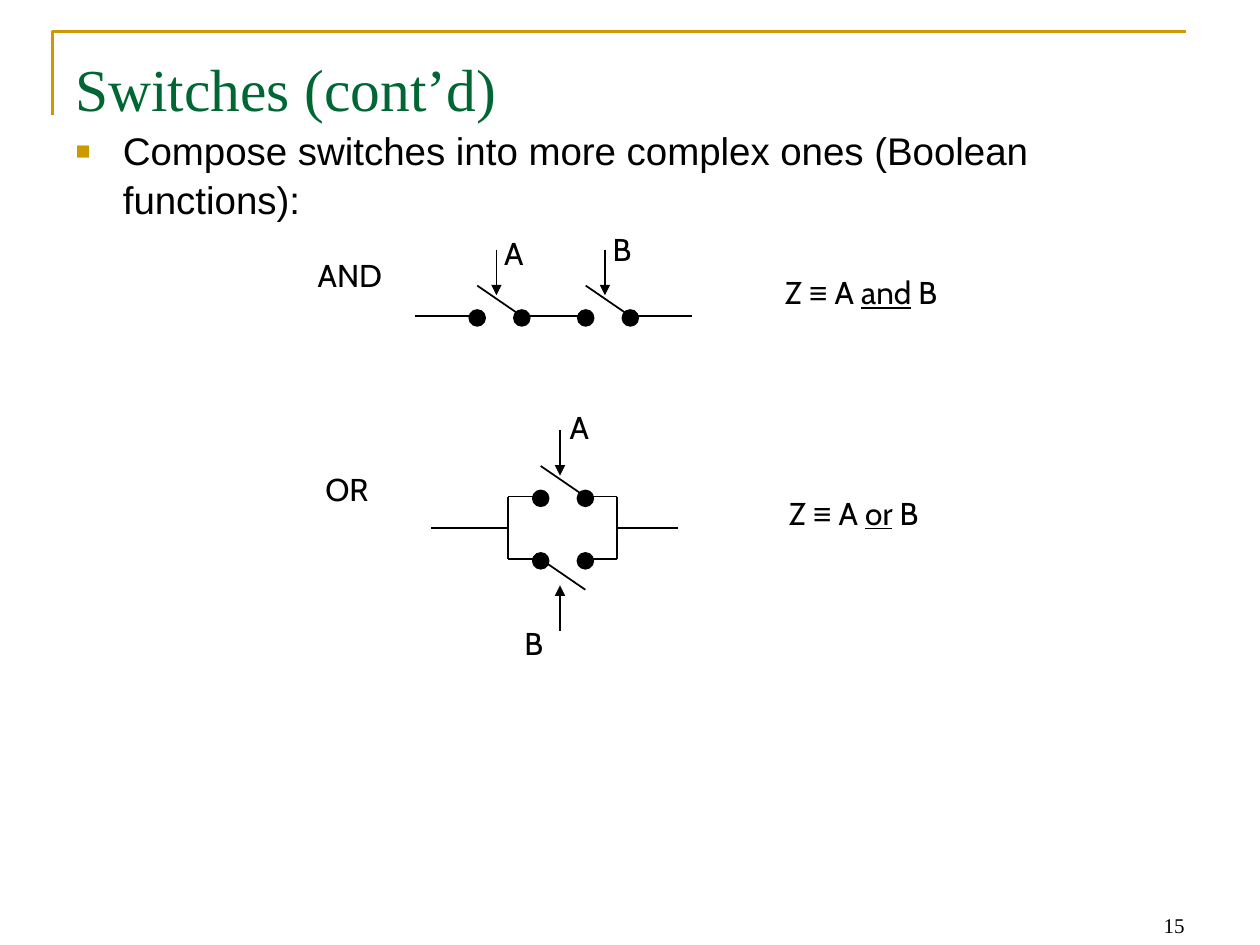
from dataclasses import dataclass

from lxml import etree
from pptx import Presentation
from pptx.dml.color import RGBColor
from pptx.enum.shapes import MSO_CONNECTOR, MSO_SHAPE
from pptx.enum.text import MSO_ANCHOR, MSO_AUTO_SIZE, PP_ALIGN
from pptx.oxml.ns import qn
from pptx.util import Pt

STRAIGHT = MSO_CONNECTOR.STRAIGHT
OVAL = MSO_SHAPE.OVAL
TOP, BOTTOM = MSO_ANCHOR.TOP, MSO_ANCHOR.BOTTOM
NO_AUTOFIT = MSO_AUTO_SIZE.NONE
LEFT, RIGHT = PP_ALIGN.LEFT, PP_ALIGN.RIGHT


@dataclass(frozen=True)
class Theme:
    ink: str = "000000"
    heading: str = "006633"
    accent: str = "CC9900"
    serif: str = "Times New Roman"
    sans: str = "Arial"
    label: str = "Cabin"
    title_size: int = 34
    body_size: int = 22
    label_size: int = 18
    number_size: int = 12


THEME = Theme()
CONTACT_GAP = 25.5
SWITCH_PITCH = 62
WIRE_LENGTH = 34.5
DOT = 9


def rgb(value):
    return RGBColor.from_string(value)


def style_run(run, font_name, size, color):
    run.font.name = font_name
    run.font.size = Pt(size)
    run.font.color.rgb = rgb(color)


def place(shape, left, top, width, height):
    shape.left, shape.top = Pt(left), Pt(top)
    shape.width, shape.height = Pt(width), Pt(height)


def add_frame(slide):
    builder = slide.shapes.build_freeform(Pt(30), Pt(66))
    builder.add_line_segments([(Pt(30), Pt(18)), (Pt(678), Pt(18))], close=False)
    frame = builder.convert_to_shape()
    frame.shadow.inherit = False
    frame.fill.background()
    frame.line.color.rgb = rgb(THEME.accent)
    frame.line.width = Pt(1.5)


def fill_title(title, text):
    place(title, 36, 21.6, 648, 90)
    frame = title.text_frame
    frame.text = text
    frame.vertical_anchor = TOP
    frame.auto_size = NO_AUTOFIT
    frame.margin_top = Pt(8)
    paragraph = frame.paragraphs[0]
    paragraph.alignment = LEFT
    style_run(paragraph.runs[0], THEME.serif, THEME.title_size, THEME.heading)


def set_bullet(paragraph):
    properties = paragraph._p.get_or_add_pPr()
    properties.set("marL", str(Pt(27)))
    properties.set("indent", str(Pt(-27)))
    color = etree.SubElement(properties, qn("a:buClr"))
    etree.SubElement(color, qn("a:srgbClr"), val=THEME.accent)
    etree.SubElement(properties, qn("a:buSzPct"), val="65000")
    etree.SubElement(properties, qn("a:buFont"), typeface=THEME.sans)
    etree.SubElement(properties, qn("a:buChar"), char="■")


def fill_body(body, text):
    place(body, 36, 67.7, 648, 357)
    frame = body.text_frame
    frame.text = text
    frame.auto_size = NO_AUTOFIT
    paragraph = frame.paragraphs[0]
    paragraph.space_before = Pt(5.5)
    paragraph.line_spacing = 1.06
    set_bullet(paragraph)
    style_run(paragraph.runs[0], THEME.sans, THEME.body_size, THEME.ink)


def add_label(slide, left, top, width, height=35):
    label = slide.shapes.add_textbox(Pt(left), Pt(top), Pt(width), Pt(height))
    frame = label.text_frame
    frame.word_wrap = True
    frame.margin_left = frame.margin_right = Pt(1.5)
    frame.margin_top = frame.margin_bottom = Pt(2)
    paragraph = frame.paragraphs[0]
    paragraph.line_spacing = Pt(26)
    return paragraph


def add_name(slide, text, left, top, width=43):
    paragraph = add_label(slide, left, top, width)
    paragraph.text = text
    style_run(paragraph.runs[0], THEME.label, THEME.label_size, THEME.ink)


def add_equation(slide, operator, left, top):
    paragraph = add_label(slide, left, top, 125, 46)
    paragraph.space_before = Pt(11)
    for part in ("Z ", "≡", " A ", operator, " B"):
        run = paragraph.add_run()
        run.text = part
        font_name = THEME.sans if part == "≡" else THEME.label
        style_run(run, font_name, THEME.label_size, THEME.ink)
        run.font.underline = part == operator


def add_wire(slide, start, end, arrow=False):
    wire = slide.shapes.add_connector(STRAIGHT, *map(Pt, start + end))
    wire.line.color.rgb = rgb(THEME.ink)
    wire.line.width = Pt(1)
    if arrow:
        etree.SubElement(wire.line._get_or_add_ln(), qn("a:tailEnd"), type="triangle")
    etree.SubElement(wire._element.spPr, qn("a:effectLst"))


def add_path(slide, *points):
    for start, end in zip(points, points[1:]):
        add_wire(slide, start, end)


def add_contact(slide, x, y):
    contact = slide.shapes.add_shape(
        OVAL, Pt(x - DOT / 2), Pt(y + 1 - DOT / 2), Pt(DOT), Pt(DOT))
    contact.shadow.inherit = False
    contact.fill.solid()
    contact.fill.fore_color.rgb = rgb(THEME.ink)
    contact.line.color.rgb = rgb(THEME.ink)
    contact.line.width = Pt(1)


def add_switch(slide, x, y, side=-1, tip=12):
    right = x + CONTACT_GAP
    hinge, free_end = (right, x) if side < 0 else (x, right)
    add_wire(slide, (hinge, y), (free_end, y + side * 17.5))
    add_wire(slide, (x + 11, y + side * (tip + 26)), (x + 11, y + side * tip), arrow=True)
    add_contact(slide, x, y)
    add_contact(slide, right, y)


def add_and_circuit(slide):
    first, level = 272.7, 180.7
    for index in range(3):
        start = first - 35.8 + index * SWITCH_PITCH
        add_wire(slide, (start, level), (start + WIRE_LENGTH, level))
    for index, (name, top) in enumerate((("A", 127.5), ("B", 125.3))):
        add_switch(slide, first + index * SWITCH_PITCH, level)
        add_name(slide, name, 286.6 + index * SWITCH_PITCH, top)
    add_name(slide, "AND", 180, 139.7, 71)
    add_equation(slide, "and", 447, 149.8)


def add_or_circuit(slide):
    left, right = 290.3, 352.7
    upper, middle, lower = 283.8, 301.7, 319.5
    contact = 309
    add_path(slide, (contact, upper), (left, upper), (left, lower), (contact, lower))
    add_path(slide, (contact + CONTACT_GAP, upper), (right, upper),
             (right, lower), (contact + CONTACT_GAP, lower))
    add_wire(slide, (246.4, middle), (left, middle))
    add_wire(slide, (right, middle), (387.4, middle))
    add_switch(slide, contact, upper)
    add_switch(slide, contact, lower, side=1, tip=15)
    add_name(slide, "A", 324, 226.8)
    add_name(slide, "B", 298.2, 350)
    add_name(slide, "OR", 184.4, 262, 59)
    add_equation(slide, "or", 449.3, 275.8)


def add_slide_number(slide, number):
    corner = slide.shapes.add_textbox(Pt(516), Pt(503.3), Pt(168), Pt(36))
    frame = corner.text_frame
    frame.word_wrap = True
    frame.vertical_anchor = BOTTOM
    frame.text = number
    paragraph = frame.paragraphs[0]
    paragraph.alignment = RIGHT
    style_run(paragraph.runs[0], THEME.serif, THEME.number_size, THEME.ink)


def main():
    presentation = Presentation()
    presentation.slide_width, presentation.slide_height = Pt(720), Pt(540)
    slide = presentation.slides.add_slide(presentation.slide_layouts[1])
    add_frame(slide)
    fill_title(slide.shapes.title, "Switches (cont’d)")
    fill_body(slide.placeholders[1],
              "Compose switches into more complex ones (Boolean functions):")
    add_and_circuit(slide)
    add_or_circuit(slide)
    add_slide_number(slide, "15")
    presentation.save("out.pptx")


if __name__ == "__main__":
    main()
